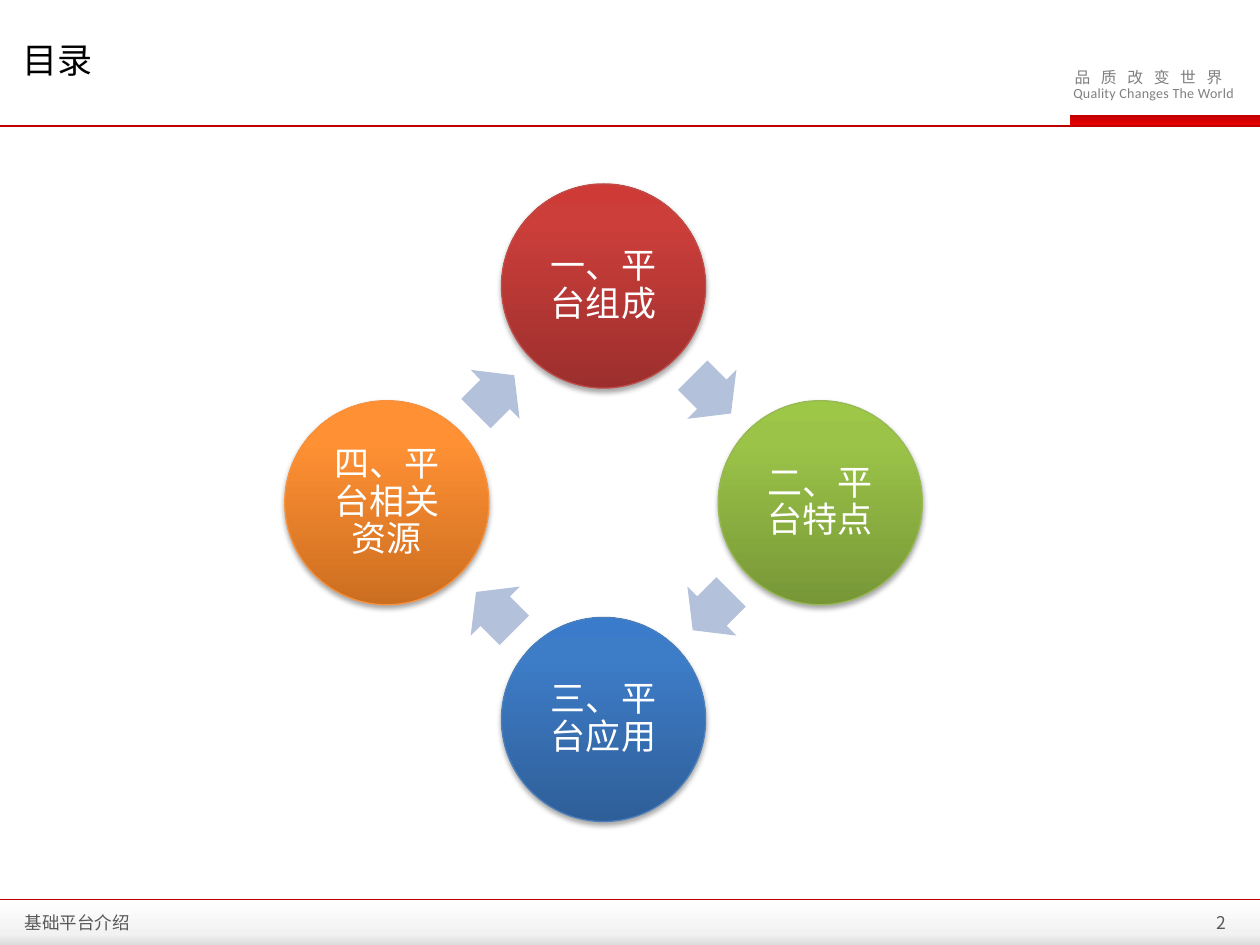
import copy
import math

import lxml.etree
import pptx
import pptx.dml.color
import pptx.enum.shapes
import pptx.enum.text
import pptx.oxml
import pptx.oxml.ns
import pptx.util

Inches, Pt = pptx.util.Inches, pptx.util.Pt
SHAPE = pptx.enum.shapes.MSO_SHAPE
ALIGN = pptx.enum.text.PP_ALIGN
ANCHOR = pptx.enum.text.MSO_ANCHOR
qn = pptx.oxml.ns.qn
CJK = "Noto Sans CJK SC"


def paint(fill, *stops, angle=270):
    if len(stops) == 1:
        fill.solid()
        fill.fore_color.rgb = pptx.dml.color.RGBColor.from_string(stops[0])
        return
    fill.gradient()
    fill.gradient_angle = angle
    stop_list = fill._xPr.find(qn("a:gradFill")).find(qn("a:gsLst"))
    while len(stop_list) < len(stops):
        stop_list.append(copy.deepcopy(stop_list[-1]))
    for stop, (position, color) in zip(fill.gradient_stops, stops):
        stop.position = position
        stop.color.rgb = pptx.dml.color.RGBColor.from_string(color)


def write(shape, text, size=10, color="595959", font=CJK, align=ALIGN.LEFT,
          anchor=ANCHOR.MIDDLE, line_spacing=None, tracking=0, inset=None, wrap=True):
    frame = shape.text_frame
    frame.word_wrap = wrap
    frame.auto_size = pptx.enum.text.MSO_AUTO_SIZE.NONE
    frame.vertical_anchor = anchor
    if inset is not None:
        frame.margin_left = frame.margin_right = Inches(inset)
        frame.margin_top = frame.margin_bottom = Inches(inset)
    paragraph = frame.paragraphs[0]
    paragraph.alignment = align
    paragraph.line_spacing = line_spacing
    run = paragraph.add_run()
    run.text = text
    run.font.size = Pt(size)
    run.font.name = font
    paint(run.font.fill, color)
    properties = run._r.get_or_add_rPr()
    lxml.etree.SubElement(properties, qn("a:ea")).set("typeface", font)
    if tracking:
        properties.set("spc", str(round(tracking * 100)))


presentation = pptx.Presentation()
presentation.slide_width, presentation.slide_height = Inches(10), Inches(7.5)
slide = presentation.slides.add_slide(presentation.slide_layouts[5])
shapes = slide.shapes

bars = [
    (8.49, 0.91, 1.51, 0.09, [(0, "C00000"), (1, "EE0000")]),
    (0, 7.14, 10, 0.36, [(0, "FFFFFF"), (0.75, "F2F2F2"), (1, "DCDCDC")]),
]
for left, top, width, height, stops in bars:
    bar = shapes.add_shape(SHAPE.RECTANGLE, Inches(left), Inches(top),
                           Inches(width), Inches(height))
    bar.shadow.inherit = False
    bar.line.fill.background()
    paint(bar.fill, *stops)

for y, weight in [(1, 1.5), (7.14, 1)]:
    rule = shapes.add_connector(pptx.enum.shapes.MSO_CONNECTOR.STRAIGHT,
                                0, Inches(y), Inches(10), Inches(y))
    rule.line.width = Pt(weight)
    paint(rule.line.fill, "C00000")
    lxml.etree.SubElement(rule._element.spPr, qn("a:effectLst"))

title = shapes.title
title.left, title.top = Inches(0.08), Inches(0.21)
title.width, title.height = Inches(8.37), Inches(0.61)
write(title, "目录", size=20, color="000000", anchor=ANCHOR.TOP, line_spacing=Pt(27))

labels = [
    (8.43, 0.49, 1.51, 0.25, "品 质 改 变 世 界",
     dict(size=9, color="808080", anchor=ANCHOR.TOP, tracking=2.05, wrap=False)),
    (8.42, 0.62, 1.58, 0.24, "Quality Changes The World",
     dict(size=8, color="808080", font="Calibri", anchor=ANCHOR.TOP, tracking=0.15)),
    (0.1, 7.21, 3.4, 0.22, "基础平台介绍", {}),
    (8.65, 7.2, 1.18, 0.25, "2", dict(align=ALIGN.RIGHT)),
]
for left, top, width, height, text, style in labels:
    label = shapes.add_textbox(Inches(left), Inches(top), Inches(width), Inches(height))
    write(label, text, **style)

SHADOW = (
    '<a:effectLst xmlns:a="http://schemas.openxmlformats.org/drawingml/2006/main">'
    '<a:outerShdw blurRad="39370" dist="22860" dir="5400000" rotWithShape="0">'
    '<a:srgbClr val="000000"><a:alpha val="35000"/></a:srgbClr>'
    '</a:outerShdw></a:effectLst>'
)
center_x, center_y, orbit = 4.79, 3.99, 1.72
diameter = 1.62
arrow_length, arrow_width = 0.43, 0.55
chapters = [
    ("一、平台组成", "9C2F2D", "CB3E3A", "CE3B37", "BF4C48"),
    ("二、平台特点", "779737", "9BC348", "9DC746", "98B955"),
    ("三、平台应用", "2F5F99", "3D7CC7", "3A7CCB", "4B7EBC"),
    ("四、平台相关资源", "CC6E20", "FF9034", "FF9136", "F69240"),
]
for index, (chapter, dark, bright, top_color, outline) in enumerate(chapters):
    turn = math.radians(90 * index)
    x = center_x + orbit * math.sin(turn)
    y = center_y - orbit * math.cos(turn)
    circle = shapes.add_shape(SHAPE.OVAL, Inches(x - diameter / 2), Inches(y - diameter / 2),
                              Inches(diameter), Inches(diameter))
    paint(circle.fill, (0, dark), (0.8, bright), (1, top_color), angle=90)
    paint(circle.line.fill, outline)
    circle.line.width = Pt(0.75)
    circle._element.spPr.append(pptx.oxml.parse_xml(SHADOW))
    write(circle, chapter, size=20, color="FFFFFF", align=ALIGN.CENTER,
          line_spacing=0.9, inset=0.03)

    half_turn = turn + math.pi / 4
    x = center_x + orbit / math.sqrt(2) * math.sin(half_turn)
    y = center_y - orbit / math.sqrt(2) * math.cos(half_turn)
    arrow = shapes.add_shape(SHAPE.RIGHT_ARROW, Inches(x - arrow_length / 2),
                             Inches(y - arrow_width / 2),
                             Inches(arrow_length), Inches(arrow_width))
    arrow.rotation = 45 + 90 * index
    arrow.adjustments[0], arrow.adjustments[1] = 0.6, 0.5
    arrow.shadow.inherit = False
    arrow.line.fill.background()
    paint(arrow.fill, "B3C1DB")

presentation.save("out.pptx")
